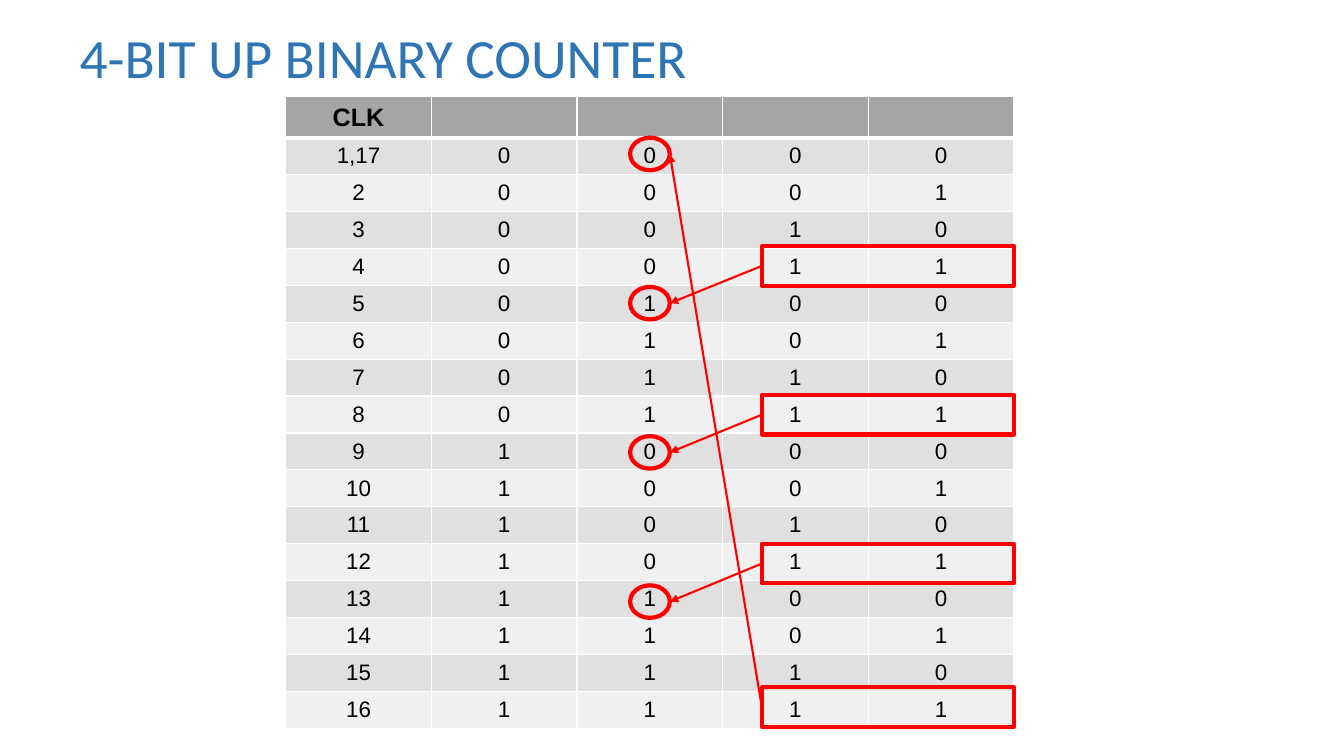
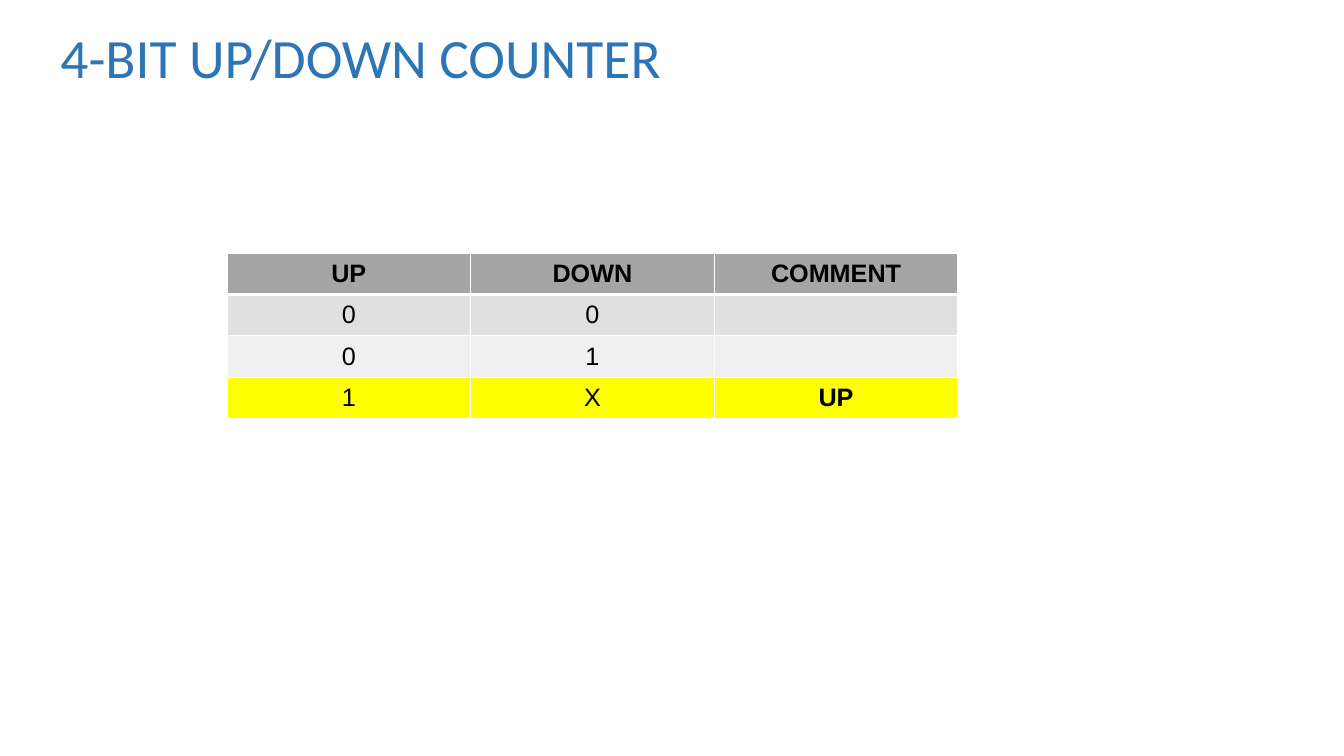
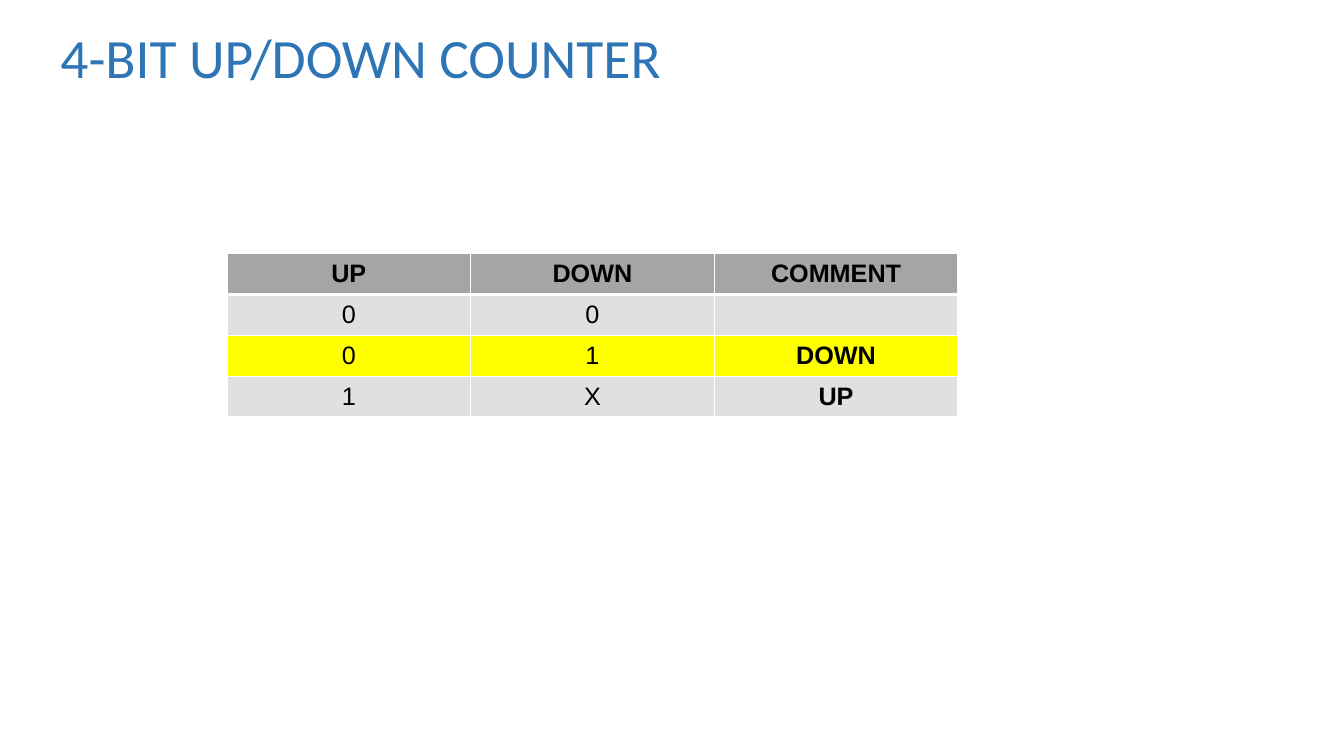
from lxml.etree import SubElement
from pptx import Presentation
from pptx.dml.color import RGBColor
from pptx.enum.shapes import MSO_CONNECTOR as Connector, MSO_SHAPE as Shape
from pptx.enum.text import MSO_ANCHOR as Anchor, MSO_AUTO_SIZE as AutoSize, PP_ALIGN as Align
from pptx.oxml.ns import qn
from pptx.util import Cm, Pt

BLUE = RGBColor(0x2E, 0x75, 0xB5)
BLACK = RGBColor(0x00, 0x00, 0x00)
WHITE = RGBColor(0xFF, 0xFF, 0xFF)
RED = RGBColor(0xFF, 0x00, 0x00)
YELLOW = RGBColor(0xFF, 0xFF, 0x00)
HEADER_GRAY = RGBColor(0xA5, 0xA5, 0xA5)
BANDS = (RGBColor(0xE0, 0xE0, 0xE0), RGBColor(0xF0, 0xF0, 0xF0))

COUNT_TITLE = "4-BIT UP BINARY COUNTER"
COUNT_ROWS = [["CLK", "", "", "", ""]] + [
    ["1,17" if count == 0 else str(count + 1), *format(count, "04b")]
    for count in range(16)
]

MODE_TITLE = "4-BIT UP/DOWN COUNTER"
MODE_HEADER = ["UP", "DOWN", "COMMENT"]
MODE_SLIDES = [
    {
        "rows": [MODE_HEADER, ["0", "0", ""], ["0", "1", ""], ["1", "X", "UP"]],
        "heights": [1.03, 1.03, 1.06, 1.03],
        "highlight": 3,
    },
    {
        "rows": [MODE_HEADER, ["0", "0", ""], ["0", "1", "DOWN"], ["1", "X", "UP"]],
        "heights": [1.03, 1.03, 1.03, 1.03],
        "highlight": 2,
    },
]

RING_LEFT, RING_WIDTH, RING_HEIGHT = 15.88, 1, 0.82
RING_TOP, RING_PITCH = 3.47, 3.76
FRAME_LEFT, FRAME_WIDTH, FRAME_HEIGHT = 19.2, 6.35, 1
FRAME_TOPS = [6.2, 9.95, 13.7, 17.32]


def add_titled_slide(deck, title, left, width):
    page = deck.slides.add_slide(deck.slide_layouts[5])
    box = page.shapes.title
    box.left, box.top, box.width, box.height = Cm(left), Cm(0.61), Cm(width), Cm(1.83)
    frame = box.text_frame
    frame.auto_size = AutoSize.NONE
    frame.vertical_anchor = Anchor.MIDDLE
    para = frame.paragraphs[0]
    para.alignment = Align.LEFT
    para.line_spacing = 0.9
    span = para.add_run()
    span.text = title
    style_font(span.font, "Calibri", 39.6, BLUE)
    return page


def style_font(font, name, size, color, bold=False):
    font.name = name
    font.size = Pt(size)
    font.color.rgb = color
    font.bold = bold


def set_borders(cell, top, bottom):
    properties = cell._tc.get_or_add_tcPr()
    for side, width in (("L", 1), ("R", 1), ("T", top), ("B", bottom)):
        line = SubElement(properties, qn(f"a:ln{side}"), w=str(Pt(width)))
        fill = SubElement(line, qn("a:solidFill"))
        SubElement(fill, qn("a:srgbClr"), val=str(WHITE))


def add_grid(page, rows, left, top, column_width, heights, body_size,
             bold_column=None, highlight=None):
    columns = len(rows[0])
    table = page.shapes.add_table(
        len(rows), columns, Cm(left), Cm(top),
        Cm(column_width * columns), Cm(sum(heights))).table
    for column in table.columns:
        column.width = Cm(column_width)
    for row_index, (texts, height) in enumerate(zip(rows, heights)):
        table.rows[row_index].height = Cm(height)
        is_header = row_index == 0
        if is_header:
            color = HEADER_GRAY
        elif row_index == highlight:
            color = YELLOW
        else:
            color = BANDS[(row_index - 1) % 2]
        for column_index, text in enumerate(texts):
            cell = table.cell(row_index, column_index)
            set_borders(cell, 3 if row_index == 1 else 1, 3 if is_header else 1)
            cell.fill.solid()
            cell.fill.fore_color.rgb = color
            cell.vertical_anchor = Anchor.MIDDLE
            para = cell.text_frame.paragraphs[0]
            para.alignment = Align.CENTER
            if text:
                span = para.add_run()
                span.text = text
                style_font(span.font, "Arial", 18 if is_header else body_size, BLACK,
                           is_header or column_index == bold_column)


def add_outline(page, preset, left, top, width, height):
    shape = page.shapes.add_shape(preset, Cm(left), Cm(top), Cm(width), Cm(height))
    shape.shadow.inherit = False
    shape.fill.background()
    shape.line.color.rgb = RED
    shape.line.width = Pt(3)


def add_arrow(page, start, end):
    arrow = page.shapes.add_connector(
        Connector.STRAIGHT, *(Cm(length) for length in (*start, *end)))
    arrow.line.color.rgb = RED
    arrow.line.width = Pt(1.5)
    SubElement(arrow.line._get_or_add_ln(), qn("a:tailEnd"), type="triangle")
    SubElement(arrow._element.spPr, qn("a:effectLst"))


def add_count_slide(deck):
    page = add_titled_slide(deck, COUNT_TITLE, 1.75, 29.21)
    add_grid(page, COUNT_ROWS, 7.2, 2.44, 3.67, [1.02] + [0.93] * 16, 16)
    for index, frame_top in enumerate(FRAME_TOPS):
        ring_top = RING_TOP + RING_PITCH * ((index + 1) % len(FRAME_TOPS))
        add_outline(page, Shape.OVAL, RING_LEFT, ring_top, RING_WIDTH, RING_HEIGHT)
        add_outline(page, Shape.RECTANGLE, FRAME_LEFT, frame_top, FRAME_WIDTH, FRAME_HEIGHT)
        add_arrow(page, (FRAME_LEFT, frame_top + FRAME_HEIGHT / 2),
                  (RING_LEFT + RING_WIDTH, ring_top + RING_HEIGHT / 2))


def add_mode_slide(deck, mode):
    page = add_titled_slide(deck, MODE_TITLE, 1.27, 19.33)
    add_grid(page, mode["rows"], 5.72, 6.39, 6.14, mode["heights"], 18,
             bold_column=2, highlight=mode["highlight"])


def main():
    deck = Presentation()
    deck.slide_width, deck.slide_height = Cm(33.87), Cm(19.05)
    add_count_slide(deck)
    for mode in MODE_SLIDES:
        add_mode_slide(deck, mode)
    deck.save("out.pptx")


if __name__ == "__main__":
    main()
